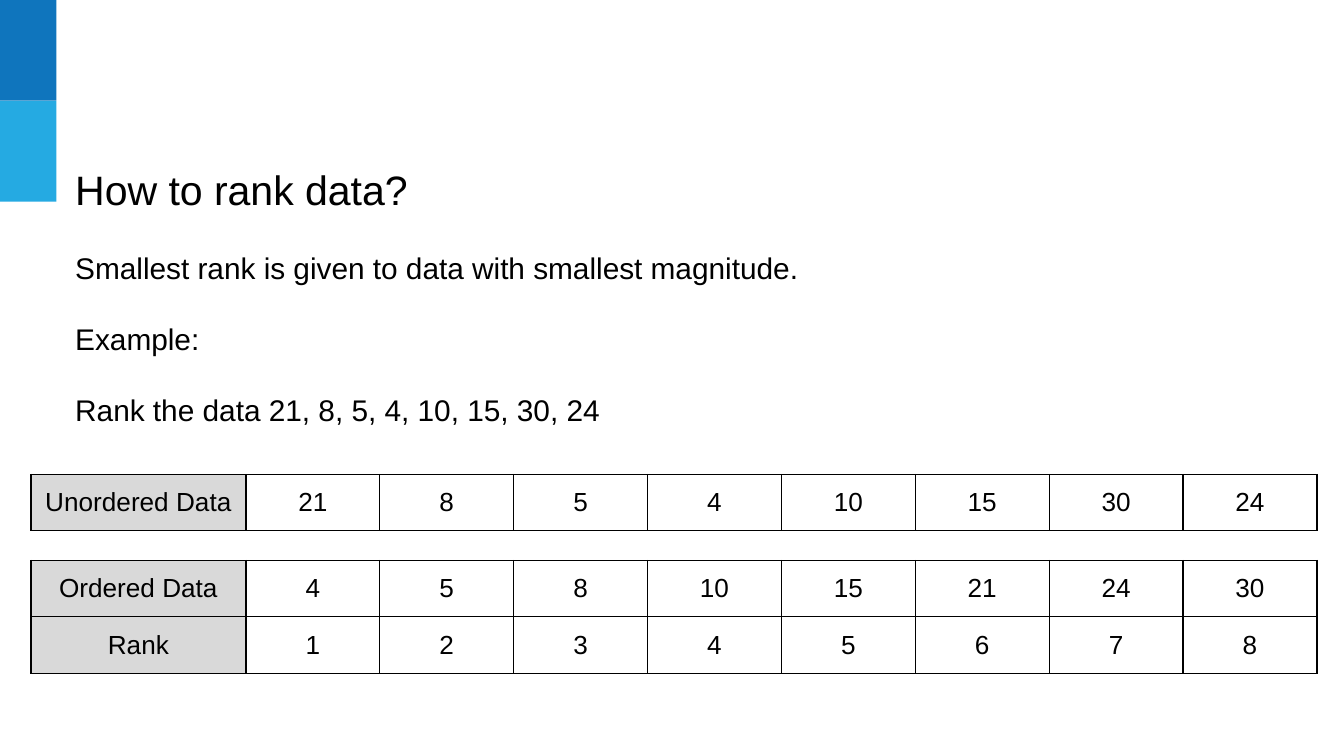
from lxml import etree
from pptx import Presentation
from pptx import util as u
from pptx.dml.color import RGBColor
from pptx.enum import shapes, text
from pptx.oxml.ns import qn

BLACK = RGBColor(0x00, 0x00, 0x00)
DARK_BLUE = RGBColor(0x0F, 0x75, 0xBD)
LIGHT_BLUE = RGBColor(0x25, 0xAA, 0xE2)
LABEL_GREY = RGBColor(0xD9, 0xD9, 0xD9)

SLIDE_WIDTH = u.Inches(10)
SLIDE_HEIGHT = SLIDE_WIDTH * 9 // 16
LABEL_WIDTH, ROW_HEIGHT = u.Inches(1.6), u.Inches(0.42)
MARGINS = dict.fromkeys(
    ("margin_left", "margin_right", "margin_top", "margin_bottom"), u.Inches(0.1)
)
FRAME_FORMAT = {
    **MARGINS,
    "word_wrap": True,
    "auto_size": text.MSO_AUTO_SIZE.NONE,
    "vertical_anchor": text.MSO_ANCHOR.TOP,
}
CELL_FORMAT = {**MARGINS, "vertical_anchor": text.MSO_ANCHOR.MIDDLE}

DATA = [21, 8, 5, 4, 10, 15, 30, 24]
STATEMENTS = [
    "Smallest rank is given to data with smallest magnitude.",
    "Example:",
    "Rank the data 21, 8, 5, 4, 10, 15, 30, 24",
]


def apply_format(target, values):
    """Set every attribute named in values on the target."""
    for name, value in values.items():
        setattr(target, name, value)


def format_runs(paragraph, size):
    """Give a paragraph's runs black Arial at the given point size."""
    for run in paragraph.runs:
        apply_format(run.font, {"name": "Arial", "size": u.Pt(size)})
        run.font.color.rgb = BLACK


def add_side_bar(slide, left, top, width, height):
    """Stack equal colour blocks inside the given box."""
    colors = (DARK_BLUE, LIGHT_BLUE)
    block_height = height // len(colors)
    for index, color in enumerate(colors):
        block = slide.shapes.add_shape(
            shapes.MSO_SHAPE.RECTANGLE, left, top + index * block_height, width, block_height
        )
        block.shadow.inherit = False
        block.fill.solid()
        block.fill.fore_color.rgb = color
        block.line.fill.background()


def fill_placeholder(placeholder, box, lines, size, gap):
    """Place a placeholder in its box with plain unbulleted paragraphs."""
    apply_format(placeholder, dict(zip(("left", "top", "width", "height"), box)))
    frame = placeholder.text_frame
    frame.text = "\n".join(lines)
    apply_format(frame, FRAME_FORMAT)
    for index, paragraph in enumerate(frame.paragraphs):
        apply_format(paragraph, {
            "alignment": text.PP_ALIGN.LEFT,
            "line_spacing": 1.15,
            "space_before": u.Pt(gap if index else 0),
            "space_after": u.Pt(0),
        })
        format_runs(paragraph, size)
        properties = paragraph._p.get_or_add_pPr()
        properties.set("marL", "0")
        properties.set("indent", "0")
        etree.SubElement(properties, qn("a:buNone"))


def add_cell_borders(cell):
    """Draw thin black lines on all four sides of a cell."""
    properties = cell._tc.get_or_add_tcPr()
    for index, side in enumerate(("lnL", "lnR", "lnT", "lnB")):
        line = etree.Element(qn(f"a:{side}"), w=str(u.Pt(0.75)))
        fill = etree.SubElement(line, qn("a:solidFill"))
        etree.SubElement(fill, qn("a:srgbClr"), val=str(BLACK))
        properties.insert(index, line)


def add_data_table(slide, left, top, width, rows):
    """Add a bordered table whose first column holds grey labels."""
    columns = len(rows[0])
    value_width = (width - LABEL_WIDTH) // (columns - 1)
    table = slide.shapes.add_table(
        len(rows), columns, left, top, width, ROW_HEIGHT * len(rows)
    ).table
    apply_format(table, {"first_row": False, "horz_banding": False})
    for index, column in enumerate(table.columns):
        column.width = value_width if index else LABEL_WIDTH
    for row_index, row in enumerate(rows):
        for column_index, value in enumerate(row):
            cell = table.cell(row_index, column_index)
            cell.text = str(value)
            apply_format(cell, CELL_FORMAT)
            if column_index:
                cell.fill.background()
            else:
                cell.fill.solid()
                cell.fill.fore_color.rgb = LABEL_GREY
            paragraph = cell.text_frame.paragraphs[0]
            paragraph.alignment = text.PP_ALIGN.CENTER
            format_runs(paragraph, 14)
            add_cell_borders(cell)


def build_ranking_slide(presentation):
    """Build the slide that explains how data are ranked."""
    slide = presentation.slides.add_slide(presentation.slide_layouts[1])
    add_side_bar(slide, 0, 0, u.Inches(0.42), u.Inches(1.5))
    title_box = [u.Inches(value) for value in (0.46, 1.07, 5.84, 0.52)]
    body_box = [u.Inches(value) for value in (0.46, 1.72, 8.02, 1.59)]
    fill_placeholder(slide.shapes.title, title_box, ["How to rank data?"], 22, 0)
    fill_placeholder(slide.placeholders[1], body_box, STATEMENTS, 16, 16)
    ordered = sorted(DATA)
    ranks = range(1, len(ordered) + 1)
    tables = {
        3.53: [["Unordered Data", *DATA]],
        4.17: [["Ordered Data", *ordered], ["Rank", *ranks]],
    }
    for top, rows in tables.items():
        add_data_table(slide, u.Inches(0.23), u.Inches(top), u.Inches(9.57), rows)


def main():
    """Create and save the presentation."""
    presentation = Presentation()
    apply_format(presentation, {"slide_width": SLIDE_WIDTH, "slide_height": SLIDE_HEIGHT})
    build_ranking_slide(presentation)
    presentation.save("out.pptx")


if __name__ == "__main__":
    main()
